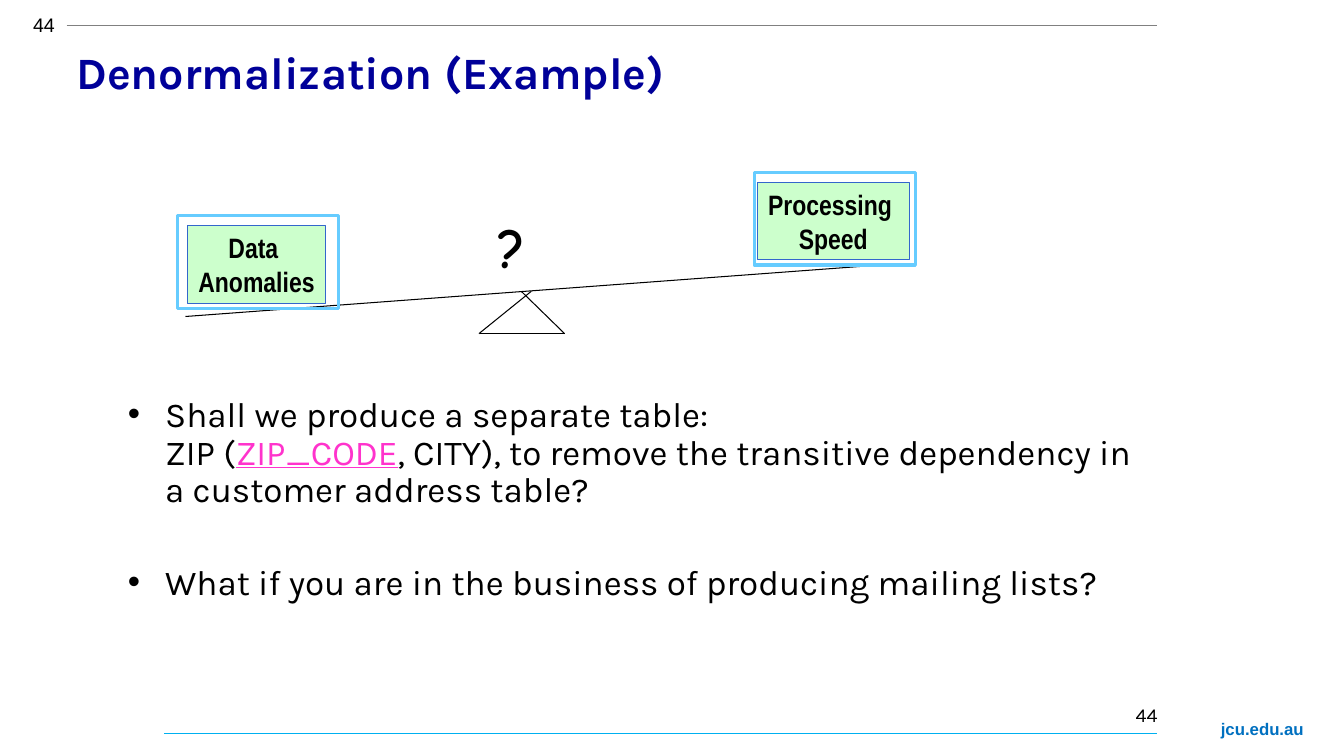
from lxml import etree
from pptx import Presentation, util as u
from pptx.dml.color import RGBColor
from pptx.enum import shapes, text
from pptx.oxml.ns import qn

CELL = 0.1
COLORS = {
    "ink": "000000", "title": "000099", "key": "FF33CC", "site": "0070C0",
    "rule": "00B0F0", "top_rule": "808080", "load": "CCFFCC",
    "load_edge": "3366CC", "frame": "66CCFF",
}


def color(name):
    """Return the named palette colour."""
    return RGBColor.from_string(COLORS[name])


def cells(*counts):
    """Turn grid counts into lengths."""
    return [u.Inches(count * CELL) for count in counts]


def style(font, size, face="Karla", ink="ink", bold=False):
    """Set the size, face, colour and weight of a font."""
    font.size, font.name, font.bold = u.Pt(size), face, bold
    font.color.rgb = color(ink)


def add_text(page, area, words, size, align=text.PP_ALIGN.LEFT, wrap=True, **look):
    """Add a styled text box."""
    box = page.shapes.add_textbox(*cells(*area))
    frame = box.text_frame
    frame.word_wrap = wrap
    frame.text = words
    for para in frame.paragraphs:
        para.alignment = align
        for span in para.runs:
            style(span.font, size, **look)
    return box


def add_line(page, start, end, ink, width):
    """Draw a straight line between two grid points."""
    line = page.shapes.add_connector(
        shapes.MSO_CONNECTOR.STRAIGHT, *cells(*start, *end))
    line.line.color.rgb = color(ink)
    line.line.width = u.Pt(width)
    etree.SubElement(line._element.spPr, qn("a:effectLst"))


def add_rectangle(page, area, edge, width, fill=None):
    """Add a flat rectangle, hollow unless a fill is named."""
    box = page.shapes.add_shape(shapes.MSO_SHAPE.RECTANGLE, *cells(*area))
    box.shadow.inherit = False
    if fill:
        box.fill.solid()
        box.fill.fore_color.rgb = color(fill)
    else:
        box.fill.background()
    box.line.color.rgb = color(edge)
    box.line.width = u.Pt(width)
    return box


def add_header(page, left, top, width):
    """Place the page number, top rule and title."""
    add_text(page, (left - 4.3, top - 1.7, 5, 3.7), "44", 14, face="Arial")
    add_line(page, (left, top), (left + width, top), "top_rule", 0.5)
    title = add_text(page, (left, top + 1.4, 85, 6.4), "Denormalization (Example)",
                     32, ink="title", bold=True)
    title.text_frame.vertical_anchor = text.MSO_ANCHOR.MIDDLE


def add_load(page, frame_area, label_area, words):
    """Place one framed load of the seesaw."""
    label = add_rectangle(page, label_area, "load_edge", 0.75, "load")
    label.text_frame.text = words
    label.text_frame.word_wrap = False
    for para in label.text_frame.paragraphs:
        para.alignment = text.PP_ALIGN.CENTER
        for span in para.runs:
            style(span.font, 20, face="Arial Narrow", bold=True)
    add_rectangle(page, frame_area, "frame", 2.25)


def add_seesaw(page, left, top):
    """Place the beam, pivot, loads and question mark."""
    strokes = [
        ((0.8, 14.3), (68.2, 9.3)),
        ((35.1, 11.8), (29.9, 16)),
        ((30, 16), (38.4, 16)),
        ((38.4, 16), (34.1, 11.8)),
    ]
    for start, end in strokes:
        add_line(page, (left + start[0], top + start[1]),
                 (left + end[0], top + end[1]), "ink", 0.75)
    loads = [
        (0, 4.3, 1, 13.7, "Data \nAnomalies"),
        (57.2, 0, 0.3, 15.1, "Processing \nSpeed"),
    ]
    for column, row, inset, width, words in loads:
        add_load(page, (left + column, top + row, 16, 9.2),
                 (left + column + inset, top + row + 1, width, 7.7), words)
    add_text(page, (left + 30.8, top + 3.5, 5.2, 7.7), "?", 40,
             wrap=False, face="Comic Neue", bold=True)


def add_questions(page, area):
    """Place the two bulleted questions."""
    frame = page.shapes.add_textbox(*cells(*area)).text_frame
    frame.word_wrap = True
    questions = [
        ["Shall we produce a separate table:\vZIP (", "ZIP_CODE",
         ", CITY), to remove the transitive dependency in a customer address table?"],
        ["What if you are in the business of producing mailing lists?"],
    ]
    for index, parts in enumerate(questions):
        para = frame.add_paragraph() if index else frame.paragraphs[0]
        para.text = parts[0]
        para.line_spacing = 0.9
        para.space_before = u.Pt(39 * index)
        for part in parts[1:]:
            para.add_run().text = part
        for span in para.runs:
            is_key = span.text == "ZIP_CODE"
            style(span.font, 25, ink="key" if is_key else "ink")
            span.font.underline = is_key
        properties = para._p.get_or_add_pPr()
        properties.set("marL", str(u.Inches(0.37)))
        properties.set("indent", str(-u.Inches(0.37)))
        bullet_color = etree.SubElement(properties, qn("a:buClr"))
        etree.SubElement(bullet_color, qn("a:srgbClr"), val=COLORS["ink"])
        etree.SubElement(properties, qn("a:buFont"), typeface="Arial")
        etree.SubElement(properties, qn("a:buChar"), char="•")


def add_footer(page, left, top, width):
    """Place the bottom rule, page number and site address."""
    right = left + width
    add_line(page, (left, top), (right, top), "rule", 0.5)
    add_text(page, (right - 19.8, top - 3.6, 20.8, 5), "44", 14,
             align=text.PP_ALIGN.RIGHT)
    add_text(page, (right + 5.3, top - 2, 10.5, 3), "jcu.edu.au", 12,
             wrap=False, face="Arial", ink="site", bold=True)


def main():
    """Build and save the slide."""
    deck = Presentation()
    deck.slide_width, deck.slide_height = u.Inches(13.33), u.Inches(7.5)
    page = deck.slides.add_slide(deck.slide_layouts[6])
    add_header(page, 6.6, 2.5, 108.2)
    add_seesaw(page, 17.6, 17.1)
    add_questions(page, (11.7, 38.9, 102.2, 22.5))
    add_footer(page, 16.3, 72.8, 98.5)
    deck.save("out.pptx")


if __name__ == "__main__":
    main()
